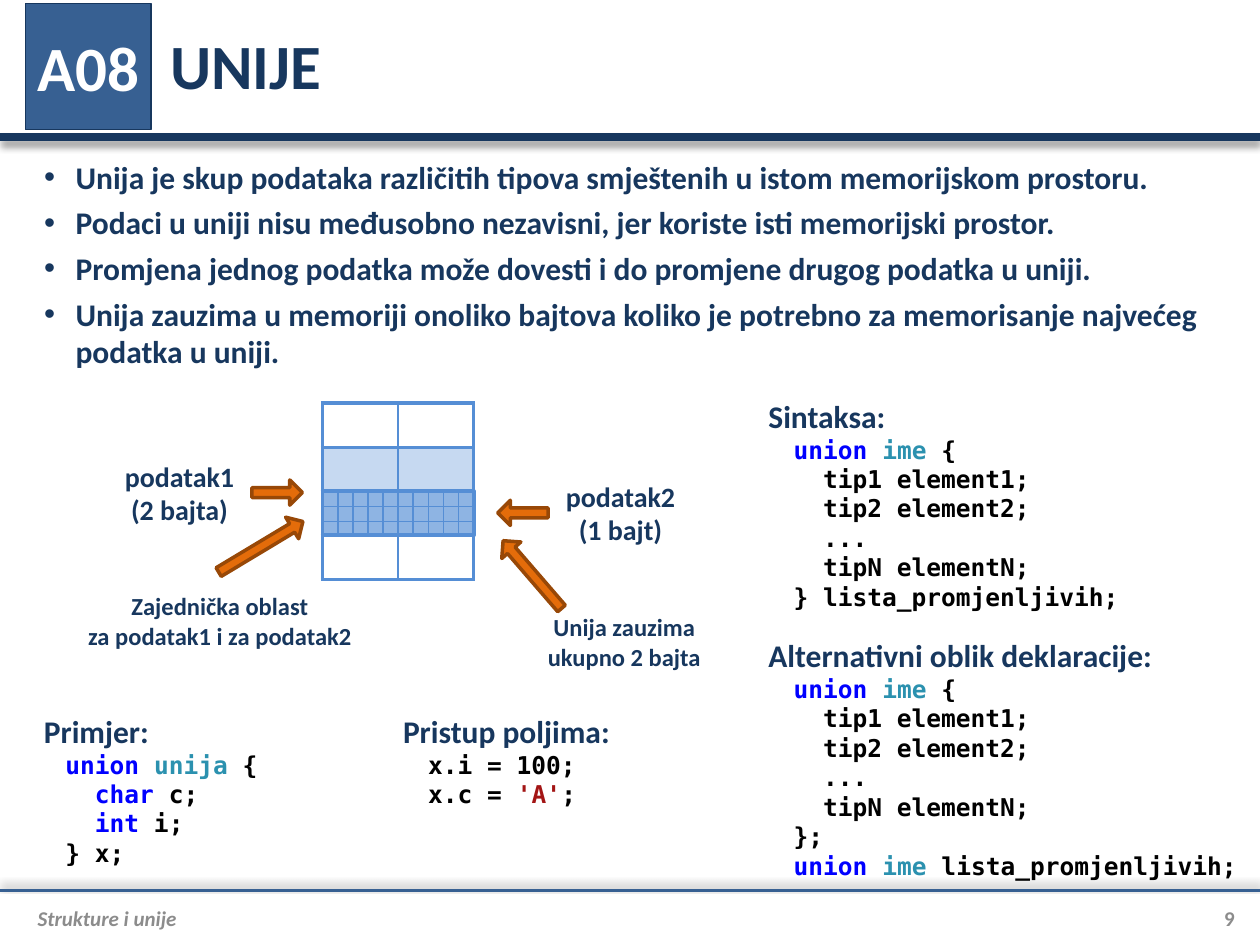
from lxml.etree import SubElement
from pptx import Presentation
from pptx.dml.color import RGBColor
from pptx.enum.shapes import MSO_CONNECTOR as Connector, MSO_SHAPE as Shape
from pptx.enum.text import MSO_ANCHOR as Anchor, MSO_AUTO_SIZE as AutoSize, PP_ALIGN as Align
from pptx.oxml.ns import qn
from pptx.util import Inches, Pt

NAVY = RGBColor(0x17, 0x37, 0x5E)
STEEL = RGBColor(0x37, 0x60, 0x92)
GRAY = RGBColor(0x8C, 0x8C, 0x8C)
WHITE = RGBColor(0xFF, 0xFF, 0xFF)
BLACK = RGBColor(0, 0, 0)
KEYWORD = RGBColor(0, 0, 0xFF)
TYPE = RGBColor(0x2B, 0x91, 0xAF)
STRING = RGBColor(0xA3, 0x15, 0x15)
ORANGE = RGBColor(0xE4, 0x6C, 0x0A)
BROWN = RGBColor(0x98, 0x48, 0x07)
GRID = RGBColor(0x55, 0x8E, 0xD5)
PALE = RGBColor(0xC6, 0xD9, 0xF1)
SHARED = RGBColor(0x8E, 0xB4, 0xE3)
SANS, MONO = "Calibri", "DejaVu Sans Mono"

BULLETS = [
    "Unija je skup podataka različitih tipova smještenih u istom memorijskom prostoru.",
    "Podaci u uniji nisu međusobno nezavisni, jer koriste isti memorijski prostor.",
    "Promjena jednog podatka može dovesti i do promjene drugog podatka u uniji.",
    "Unija zauzima u memoriji onoliko bajtova koliko je potrebno za memorisanje najvećeg podatka u uniji.",
]
UNION_IME = [("union ", KEYWORD), ("ime", TYPE)]
MEMBERS = [UNION_IME + [(" {", BLACK)]] + [
    [(line, BLACK)]
    for line in ("  tip1 element1;", "  tip2 element2;", "  ...", "  tipN elementN;")
]
SECTIONS = [
    ("Sintaksa:", (6, 3.1, 3.09, 0.4), (6.2, 3.4, 4.12, 1.6), False,
     MEMBERS + [[("} lista_promjenljivih;", BLACK)]]),
    ("Alternativni oblik deklaracije:", (6, 5, 3.91, 0.4), (6.2, 5.3, 3.62, 1.65), False,
     MEMBERS + [[("};", BLACK)], UNION_IME + [(" lista_promjenljivih;", BLACK)]]),
    ("Primjer:", (0.25, 5.6, 1.36, 0.4), (0.42, 5.9, 1.84, 1.04), True,
     [[("union", KEYWORD), (" ", BLACK), ("unija", TYPE), (" {", BLACK)],
      [("  char", KEYWORD), (" c;", BLACK)],
      [("  int", KEYWORD), (" i;", BLACK)],
      [("} x;", BLACK)]]),
    ("Pristup poljima:", (3.1, 5.6, 2.38, 0.4), (3.3, 5.9, 1.87, 0.57), True,
     [[("x.i = 100;", BLACK)],
      [("x.c = ", BLACK), ("'A'", STRING), (";", BLACK)]]),
]
CALLOUTS = [
    (["Unija zauzima ukupno 2 bajta"], (4.12, 4.81, 1.67, 0.57), 14, True,
     (3.87, 4.46, 0.71, 0.2), 229.2),
    (["Zajednička oblast", "za podatak1 i za podatak2"], (0.59, 4.64, 2.31, 0.57), 14, False,
     (1.68, 4.24, 0.78, 0.2), 329),
    (["podatak2", "(1 bajt)"], (4.39, 3.75, 1.07, 0.64), 16, False,
     (3.95, 3.97, 0.4, 0.2), 180),
    (["podatak1", "(2 bajta)"], (0.89, 3.59, 1.07, 0.64), 16, False,
     (2, 3.81, 0.4, 0.2), 0),
]
LEFT, TOP, COLUMN, ROW = 2.56, 3.2, 0.6, 0.35
MEMORY = [(0, 4, None), (1, 2, PALE), (2, 1, SHARED)]
GRID_STEP = 0.12


def inches(place):
    return [Inches(value) for value in place]


def write(box, lines, size, font=SANS, align=Align.LEFT, italic=None):
    frame = box.text_frame
    for index, line in enumerate(lines):
        para = frame.paragraphs[0] if index == 0 else frame.add_paragraph()
        para.alignment = align
        para.space_before = Pt(0)
        for text, color in line:
            span = para.add_run()
            span.text = text
            span.font.name = font
            span.font.size = Pt(size)
            span.font.bold = True
            span.font.italic = italic
            span.font.color.rgb = color


def set_frame(box, wrap=True, anchor=Anchor.TOP, margins=(0.1, 0.05, 0.1, 0.05)):
    frame = box.text_frame
    frame.word_wrap = wrap
    frame.auto_size = AutoSize.NONE
    frame.vertical_anchor = anchor
    (frame.margin_left, frame.margin_top,
     frame.margin_right, frame.margin_bottom) = inches(margins)


def add_text(place, lines, size, wrap=True, anchor=Anchor.TOP,
             margins=(0.1, 0.05, 0.1, 0.05), **style):
    box = page.shapes.add_textbox(*inches(place))
    set_frame(box, wrap, anchor, margins)
    write(box, lines, size, **style)


def add_block(shapes, kind, place, fill, line, weight):
    block = shapes.add_shape(kind, *inches(place))
    block.shadow.inherit = False
    block.fill.solid()
    block.fill.fore_color.rgb = fill
    block.line.color.rgb = line
    block.line.width = Pt(weight)
    return block


def add_line(shapes, ends, color, weight, shadow_angle=None):
    line = shapes.add_connector(Connector.STRAIGHT, *inches(ends))
    line.line.color.rgb = color
    line.line.width = Pt(weight)
    effects = SubElement(line._element.spPr, qn("a:effectLst"))
    if shadow_angle is not None:
        shadow = SubElement(effects, qn("a:outerShdw"), blurRad=str(Pt(4)), dist=str(Pt(3)),
                            dir=str(shadow_angle * 60000), rotWithShape="0")
        shade = SubElement(shadow, qn("a:srgbClr"), val="000000")
        SubElement(shade, qn("a:alpha"), val="40000")


def add_memory(first_row, count, fill):
    place = (LEFT, TOP + first_row * ROW, 2 * COLUMN, count * ROW)
    table = page.shapes.add_table(count, 2, *inches(place)).table
    table.first_row = table.horz_banding = False
    for row in table.rows:
        for column, cell in enumerate(row.cells):
            cell.margin_left = cell.margin_right = cell.margin_top = cell.margin_bottom = 0
            inner = "lnR" if column == 0 else "lnL"
            for side in ("lnL", "lnR", "lnT", "lnB"):
                width = Pt(1 if side == inner else 2.25)
                border = SubElement(cell._tc.get_or_add_tcPr(), qn("a:" + side), w=str(width))
                solid = SubElement(border, qn("a:solidFill"))
                SubElement(solid, qn("a:srgbClr"), val=str(GRID))
            if fill is None:
                cell.fill.background()
            else:
                cell.fill.solid()
                cell.fill.fore_color.rgb = fill


deck = Presentation()
deck.slide_width, deck.slide_height = Inches(10), Inches(7.5)
page = deck.slides.add_slide(deck.slide_layouts[1])
title, body = page.placeholders

add_line(page.shapes, (0, 1.09, 10, 1.09), NAVY, 4.5, 90)
add_line(page.shapes, (0, 7.07, 10, 7.07), STEEL, 1.5, 270)

title.left, title.top, title.width, title.height = inches((1.25, 0.01, 8.55, 1))
set_frame(title, anchor=Anchor.MIDDLE)
write(title, [[("UNIJE", NAVY)]], 36)

badge = add_block(page.shapes, Shape.RECTANGLE, (0.2, 0.03, 1, 1), STEEL, NAVY, 0.75)
set_frame(badge, anchor=Anchor.MIDDLE, margins=(0, 0, 0, 0))
write(badge, [[("A08", WHITE)]], 36, align=Align.CENTER)

body.left, body.top, body.width, body.height = inches((0.25, 1.2, 9.42, 1.84))
set_frame(body)
write(body, [[(text, NAVY)] for text in BULLETS], 18)
for index, para in enumerate(body.text_frame.paragraphs):
    props = para._p.get_or_add_pPr()
    props.set("marL", str(Inches(0.25)))
    props.set("indent", str(-Inches(0.25)))
    SubElement(props, qn("a:buChar"), char="•")
    para.space_before = Pt(4.5 if index else 0)

add_text((0.2, 7.11, 9.1, 0.35), [[("Strukture i unije", GRAY)]], 12,
         anchor=Anchor.MIDDLE, margins=(0.1, 0, 0, 0), italic=True)
add_text((9.3, 7.11, 0.5, 0.35), [[("9", GRAY)]], 12,
         anchor=Anchor.MIDDLE, margins=(0, 0, 0, 0), align=Align.RIGHT)

for heading, heading_place, code_place, wrap, code in SECTIONS:
    add_text(heading_place, [[(heading, NAVY)]], 18)
    add_text(code_place, code, 14, wrap=wrap, font=MONO)

for lines, place, size, wrap, arrow_place, angle in CALLOUTS:
    add_text(place, [[(line, NAVY)] for line in lines], size, wrap=wrap,
             anchor=Anchor.MIDDLE, align=Align.CENTER)
    arrow = add_block(page.shapes, Shape.RIGHT_ARROW, arrow_place, ORANGE, BROWN, 2)
    arrow.adjustments[0] = 0.396
    arrow.rotation = angle

for first_row, count, fill in MEMORY:
    add_memory(first_row, count, fill)

shared = page.shapes.add_group_shape().shapes
right, top = LEFT + 2 * COLUMN, TOP + 2 * ROW
add_block(shared, Shape.RECTANGLE, (LEFT, top, 2 * COLUMN, ROW), SHARED, GRID, 2.25)
for step in range(1, 10):
    x = LEFT + step * GRID_STEP
    add_line(shared, (x, top, x, top + ROW), GRID, 1)
for step in (1, 2):
    y = top + step * GRID_STEP
    add_line(shared, (LEFT, y, right, y), GRID, 1)

deck.save("out.pptx")
